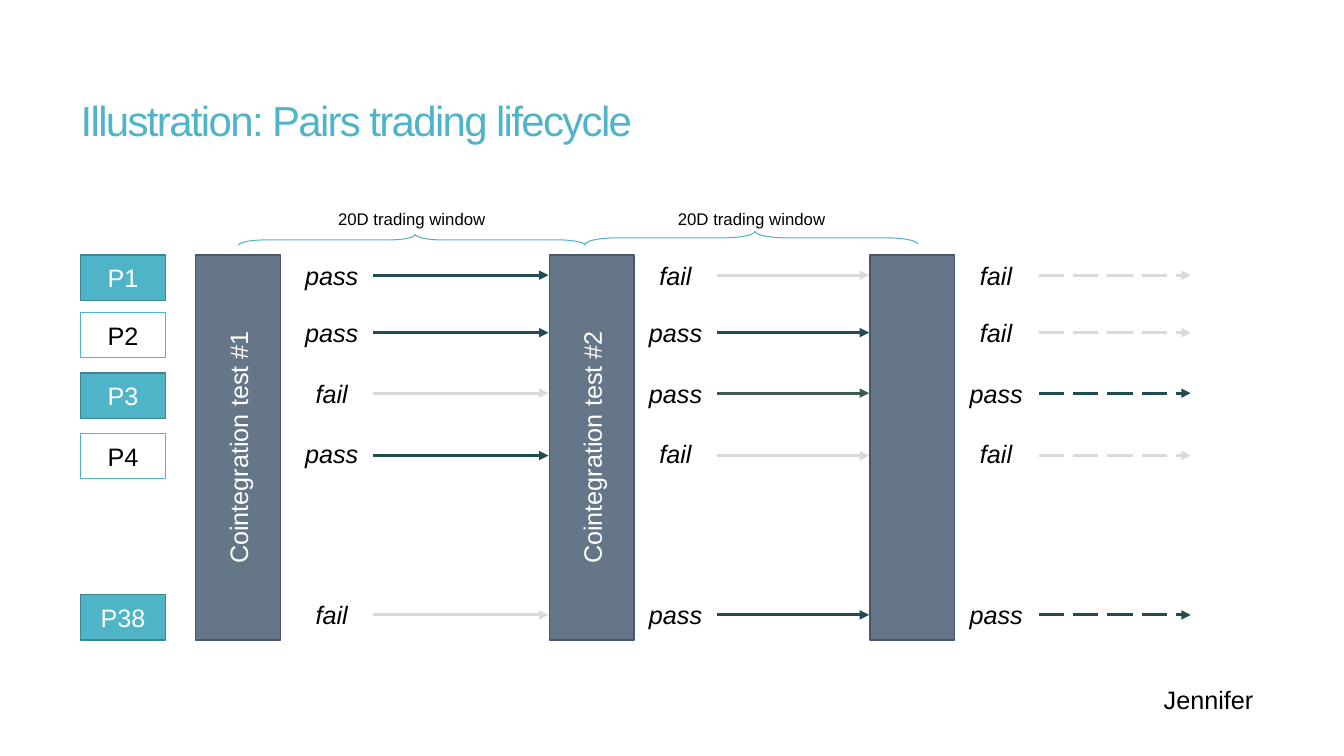
from lxml.etree import SubElement
from pptx import Presentation
from pptx.dml.color import RGBColor
from pptx.enum.dml import MSO_LINE
from pptx.enum.shapes import MSO_CONNECTOR, MSO_SHAPE
from pptx.enum.text import MSO_ANCHOR, MSO_AUTO_SIZE, PP_ALIGN
from pptx.oxml.ns import qn
from pptx.util import Inches, Pt

COLORS = {
    "teal": "50B4C8", "edge": "3B8594", "slate": "657689", "rim": "4B5765",
    "pass": "234B52", "fail": "D9D9D9", "moss": "3D5B50",
    "white": "FFFFFF", "black": "000000",
}
WIDE = 0.84

# Pair name, row top, arrow height, result of each test
PAIRS = [
    ("P1", 2.53, 2.73, ("pass", "fail", "fail")),
    ("P2", 3.1, 3.3, ("pass", "pass", "fail")),
    ("P3", 3.7, 3.9, ("fail", "pass", "pass")),
    ("P4", 4.3, 4.52, ("pass", "fail", "fail")),
    ("P38", 5.9, 6.1, ("fail", "pass", "pass")),
]
# Bar left, bar text, result left, arrow start, arrow end
TESTS = [
    (1.94, "Cointegration test #1", 2.87, 3.7, 5.44),
    (5.45, "Cointegration test #2", 6.28, 7.11, 8.62),
    (8.63, "", 9.46, 10.3, 11.81),
]
# Brace left, top, width and height before its turn, then label left
SPANS = [
    (4.03, 0.66, 0.11, 3.44, 2.62),
    (7.39, 0.71, 0.13, 3.3, 5.99),
]


def tint(name):
    return RGBColor.from_string(COLORS[name])


class Chart:
    """Holds the type style and the slide being drawn."""

    font = "Arial"
    size = 18

    def __init__(self, slide):
        self.shapes = slide.shapes

    def style(self, frame, text, color="black", size=None,
              align=PP_ALIGN.CENTER, italic=False):
        """Set the text of a frame, format it and return its paragraph."""
        frame.text = text
        para = frame.paragraphs[0]
        para.alignment = align
        for run in para.runs:
            font = run.font
            font.name, font.size = self.font, Pt(size or self.size)
            font.italic = italic
            font.color.rgb = tint(color)
        return para

    def title(self, text):
        head = self.shapes.title
        head.left, head.top = Inches(0.8), Inches(0.55)
        head.width, head.height = Inches(11.73), Inches(1.27)
        frame = head.text_frame
        frame.margin_left = frame.margin_right = 0
        frame.vertical_anchor = MSO_ANCHOR.MIDDLE
        para = self.style(frame, text, "teal", 30, PP_ALIGN.LEFT)
        para.space_after = Pt(6)
        para.runs[0].font._element.set("spc", "-120")

    def box(self, left, top, high, fill, line, text="", color="white",
            upright=False):
        rect = self.shapes.add_shape(
            MSO_SHAPE.RECTANGLE, Inches(left), Inches(top),
            Inches(WIDE), Inches(high))
        rect.shadow.inherit = False
        rect.fill.solid()
        rect.fill.fore_color.rgb = tint(fill)
        rect.line.color.rgb = tint(line)
        rect.line.width = Pt(1)
        frame = rect.text_frame
        frame.vertical_anchor = MSO_ANCHOR.MIDDLE
        if upright:
            frame._txBody.bodyPr.set("vert", "vert270")
        if text:
            self.style(frame, text, color)

    def label(self, left, top, wide, high, text, **look):
        area = self.shapes.add_textbox(
            Inches(left), Inches(top), Inches(wide), Inches(high))
        frame = area.text_frame
        frame.word_wrap = True
        frame.auto_size = MSO_AUTO_SIZE.SHAPE_TO_FIT_TEXT
        self.style(frame, text, **look)

    def arrow(self, start, end, level, color, dashed):
        link = self.shapes.add_connector(
            MSO_CONNECTOR.STRAIGHT, Inches(start), Inches(level),
            Inches(end), Inches(level))
        link.line.color.rgb = tint(color)
        link.line.width = Pt(2.25)
        if dashed:
            link.line.dash_style = MSO_LINE.LONG_DASH
        props = link._element.spPr
        SubElement(props.find(qn("a:ln")), qn("a:tailEnd"), type="triangle")
        SubElement(props, qn("a:effectLst"))

    def brace(self, left, top, wide, high):
        mark = self.shapes.add_shape(
            MSO_SHAPE.LEFT_BRACE, Inches(left), Inches(top),
            Inches(wide), Inches(high))
        mark.rotation = 90
        mark.adjustments[0], mark.adjustments[1] = 2.42, 0.49
        mark.shadow.inherit = False
        mark.fill.background()
        mark.line.color.rgb = tint("teal")
        mark.line.width = Pt(0.75)


def main():
    deck = Presentation()
    deck.slide_width, deck.slide_height = Inches(13.33), Inches(7.5)
    chart = Chart(deck.slides.add_slide(deck.slide_layouts[5]))
    chart.title("Illustration: Pairs trading lifecycle")

    for left, text, *rest in TESTS:
        chart.box(left, 2.53, 3.82, "slate", "rim", text, upright=True)

    for row, (name, top, level, marks) in enumerate(PAIRS):
        look = (("white", "teal", name, "black") if row % 2
                else ("teal", "edge", name, "white"))
        chart.box(0.8, top, 0.45, *look)
        for step, (mark, test) in enumerate(zip(marks, TESTS)):
            place, start, end = test[2:]
            chart.label(place, top, WIDE, 0.4, mark, italic=True)
            color = "moss" if (name, step) == ("P3", 1) else mark
            chart.arrow(start, end, level, color, dashed=step == 2)

    for left, top, wide, high, place in SPANS:
        chart.brace(left, top, wide, high)
        chart.label(place, 2.02, 2.93, 0.3, "20D trading window", size=12)

    chart.label(10.47, 6.74, 2.06, 0.4, "Jennifer", align=PP_ALIGN.RIGHT)
    deck.save("out.pptx")


if __name__ == "__main__":
    main()
